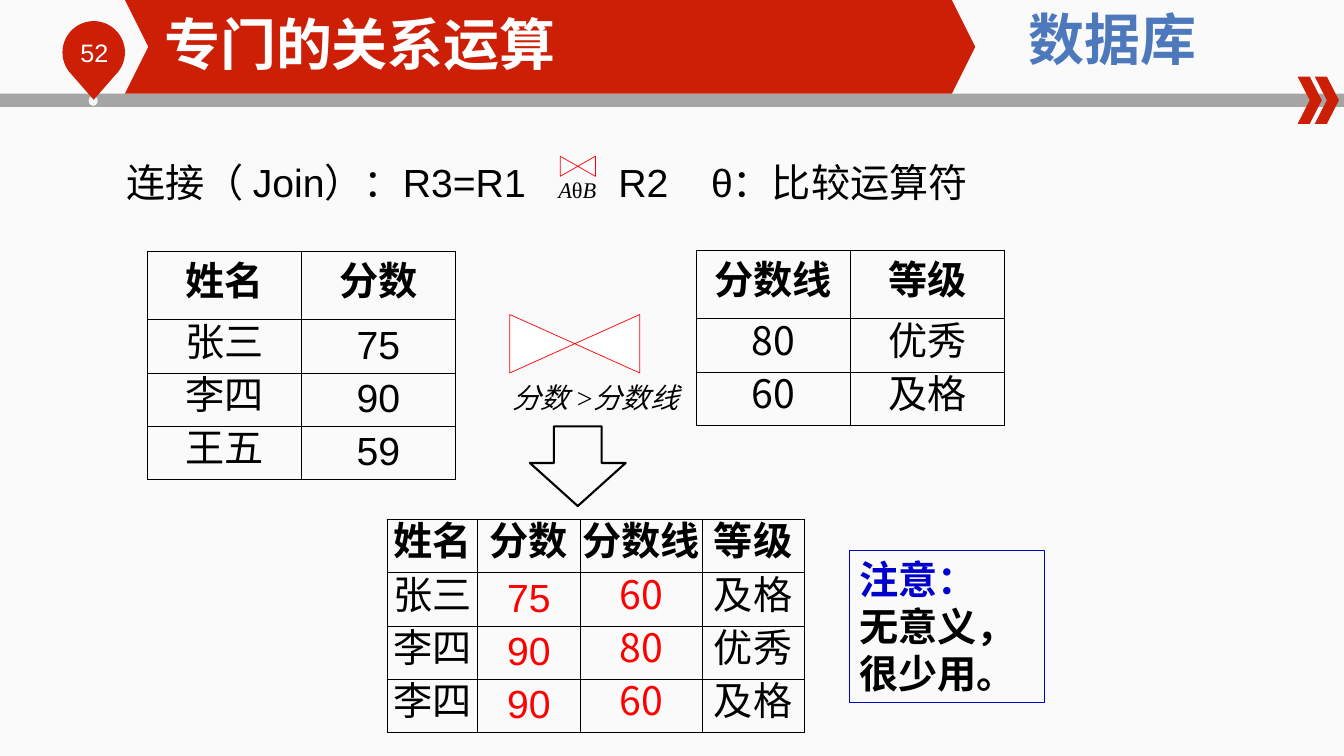
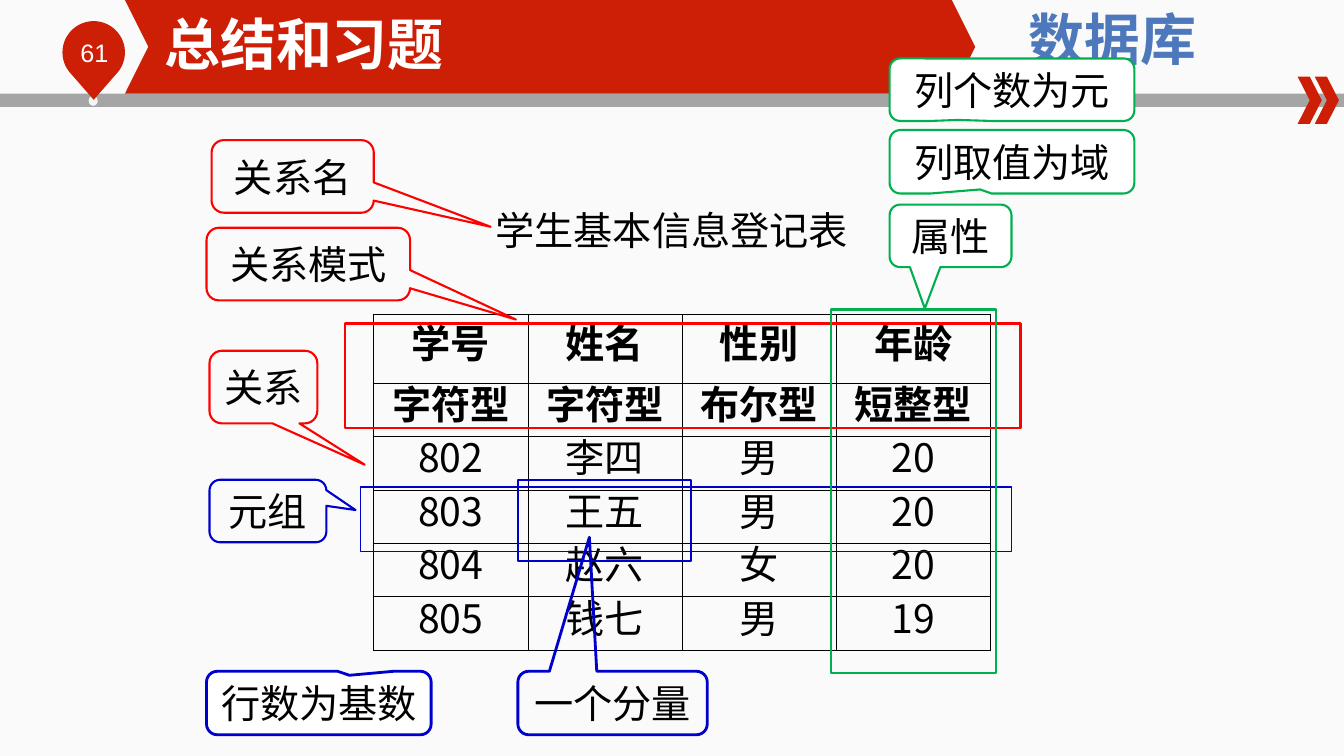
"""Build two lecture slides on relational joins and relational terms."""
from dataclasses import dataclass
from math import cos, radians, sin

from lxml.etree import SubElement
from pptx import Presentation
from pptx.dml.color import RGBColor
from pptx.enum.shapes import MSO_SHAPE as Preset
from pptx.enum.text import MSO_ANCHOR as Anchor, MSO_AUTO_SIZE as AutoSize, PP_ALIGN as Align
from pptx.oxml.ns import qn
from pptx.util import Inches, Pt


@dataclass(frozen=True)
class Theme:
    """Colours, fonts and type sizes."""
    brand: str = "CD1F06"
    band: str = "A5A5A5"
    dot: str = "F6F6F6"
    course: str = "4D79BC"
    black: str = "000000"
    white: str = "FFFFFF"
    red: str = "FF0000"
    blue: str = "0000CC"
    green: str = "00B050"
    background: tuple = ("FAFAFA", "FCFCFC")
    sans: str = "Arial"
    cjk: str = "Noto Sans CJK SC"
    serif: str = "Times New Roman"
    note: str = "Karla"
    title: int = 40
    body: int = 28
    condition: int = 20
    number: int = 18
    subscript: int = 16
    text_line: int = 37
    cell_line: int = 33


THEME = Theme()
SANS, CJK = THEME.sans, THEME.cjk
RED, BLUE, GREEN = THEME.red, THEME.blue, THEME.green

JOIN_TABLES = [
    dict(at=(1.46, 2.49), columns=[1.53] * 2, header=0.68, fonts=[SANS] * 2,
         rows=[["姓名", "分数"], ["张三", "75"], ["李四", "90"], ["王五", "59"]]),
    dict(at=(6.91, 2.48), columns=[1.53] * 2, header=0.68, fonts=[CJK, SANS],
         rows=[["分数线", "等级"], ["80", "优秀"], ["60", "及格"]]),
    dict(at=(3.84, 5.15), columns=[0.9, 1.02, 1.21, 1.01], header=0.53,
         fonts=[SANS, SANS, CJK, SANS], red_columns=(1, 2),
         rows=[["姓名", "分数", "分数线", "等级"], ["张三", "75", "60", "及格"],
               ["李四", "90", "80", "优秀"], ["李四", "90", "60", "及格"]]),
]
BOWTIES = [(5.56, 1.55, 0.35, 0.2), (5.06, 3.12, 1.29, 0.58)]
NOTE = [("注意：", BLUE), ("无意义，", THEME.black), ("很少用。", THEME.black)]

STUDENT_TABLE = dict(
    at=(3.71, 3.12), columns=[1.53] * 4, header=0.68, header_rows=2, header_font=CJK,
    fonts=[CJK, SANS, SANS, CJK],
    rows=[["学号", "姓名", "性别", "年龄"], ["字符型", "字符型", "布尔型", "短整型"],
          ["802", "李四", "男", "20"], ["803", "王五", "男", "20"],
          ["804", "赵六", "女", "20"], ["805", "钱七", "男", "19"]])
CALLOUTS = [
    ("关系名", (2.1, 1.39, 1.61, 0.72), (4.87, 2.25), RED, 1.5, None),
    ("关系模式", (2.05, 2.26, 2.02, 0.72), (5.12, 3.17), RED, 1.5, None),
    ("关系", (2.08, 3.48, 1.07, 0.72), (3.62, 4.61), RED, 1.5, None),
    ("属性", (8.83, 2.03, 1.21, 0.62), (9.18, 3.06), GREEN, 1.5, THEME.white),
    ("列个数为元", (8.83, 0.58, 2.43, 0.62), (9.51, 1.19), GREEN, 1.5, THEME.white),
    ("列取值为域", (8.83, 1.29, 2.43, 0.63), (9.73, 1.88), GREEN, 1.5, THEME.white),
    ("元组", (2.08, 4.76, 1.16, 0.62), (3.53, 5.06), BLUE, 1.5, None),
    ("一个分量", (5.14, 6.66, 1.88, 0.63), (5.85, 5.33), BLUE, 2, None),
    ("行数为基数", (2.05, 6.66, 2.23, 0.63), (3.47, 6.7), BLUE, 2, THEME.white),
]
FRAMES = [
    ((3.42, 3.21, 6.71, 1.04), RED, 1.5),
    ((3.58, 4.83, 6.46, 0.64), BLUE, 1),
    ((5.14, 4.76, 1.72, 0.81), BLUE, 1.5),
    ((8.25, 3.07, 1.64, 3.61), GREEN, 1.5),
]


def rgb(colour):
    return RGBColor.from_string(colour)


def style_font(font, properties, size, colour, name, bold=False, italic=False):
    font.size, font.bold, font.italic, font.name = Pt(size), bold, italic, name
    font.color.rgb = rgb(colour)
    SubElement(properties, qn("a:ea")).set("typeface", CJK)


def style_paragraph(paragraph, size=THEME.body, colour=THEME.black, name=SANS,
                    align=Align.LEFT, **style):
    paragraph.alignment = align
    font = paragraph.font
    properties = paragraph._p.get_or_add_pPr().get_or_add_defRPr()
    style_font(font, properties, size, colour, name, **style)


def set_frame(frame, anchor=Anchor.TOP, margins=(0.1, 0.05), wrap=True):
    frame.auto_size, frame.word_wrap, frame.vertical_anchor = AutoSize.NONE, wrap, anchor
    frame.margin_left = frame.margin_right = Inches(margins[0])
    frame.margin_top = frame.margin_bottom = Inches(margins[1])


def add_text(slide, box, text, anchor=Anchor.TOP, wrap=True, **style):
    frame = slide.shapes.add_textbox(*map(Inches, box)).text_frame
    set_frame(frame, anchor, wrap=wrap)
    paragraph = frame.paragraphs[0]
    paragraph.text = text
    style_paragraph(paragraph, **style)
    return paragraph


def paint(shape, fill=None, line=None, width=1):
    shape.shadow.inherit = False
    if fill:
        shape.fill.solid()
        shape.fill.fore_color.rgb = rgb(fill)
    else:
        shape.fill.background()
    if line:
        shape.line.color.rgb = rgb(line)
        shape.line.width = Pt(width)
    else:
        shape.line.fill.background()


def add_shape(slide, preset, box, adjustments=(), **look):
    shape = slide.shapes.add_shape(preset, *map(Inches, box))
    for index, value in enumerate(adjustments):
        shape.adjustments[index] = value
    paint(shape, **look)
    return shape


def add_pin(slide, centre_x=0.93, centre_y=0.52, radius=0.31, tip_y=0.99):
    points = [(centre_x + radius * cos(radians(angle)), centre_y + radius * sin(radians(angle)))
              for angle in range(135, 406, 5)]
    tip, *arc = [(Inches(x), Inches(y)) for x, y in [(centre_x, tip_y)] + points]
    builder = slide.shapes.build_freeform(*tip)
    builder.add_line_segments(arc, close=True)
    paint(builder.convert_to_shape(), fill=THEME.brand)


def add_slide(presentation, title_text, number):
    slide = presentation.slides.add_slide(presentation.slide_layouts[5])
    add_shape(slide, Preset.RECTANGLE, (0, 0.93, 13.34, 0.13), fill=THEME.band)
    add_shape(slide, Preset.OVAL, (0.88, 0.95, 0.09, 0.1), fill=THEME.dot)
    add_pin(slide)
    add_text(slide, (0.7, 0.32, 0.76, 0.4), number, size=THEME.number, colour=THEME.white)
    for left in (12.88, 13.05):
        add_shape(slide, Preset.CHEVRON, (left, 0.76, 0.24, 0.47), [0.5], fill=THEME.brand)
    add_shape(slide, Preset.CHEVRON, (1.24, 0, 8.44, 0.93), [0.25], fill=THEME.brand)
    add_text(slide, (9.68, 0, 2.72, 0.77), "数据库", size=THEME.title,
             colour=THEME.course, name=CJK, bold=True, align=Align.CENTER)

    title = slide.shapes.title
    title.left, title.top, title.width, title.height = map(Inches, (1.63, 0.09, 6.61, 0.67))
    title.text_frame.text = title_text
    set_frame(title.text_frame, Anchor.MIDDLE, (0, 0))
    style_paragraph(title.text_frame.paragraphs[0], THEME.title, THEME.white, bold=True)
    slide.shapes._spTree.append(title._element)
    return slide


def add_borders(cell):
    properties = cell._tc.get_or_add_tcPr()
    for side in ("L", "R", "T", "B"):
        line = SubElement(properties, qn(f"a:ln{side}"), w=str(Pt(0.5)))
        fill = SubElement(line, qn("a:solidFill"))
        SubElement(fill, qn("a:srgbClr"), val=THEME.black)


def add_table(slide, at, columns, header, fonts, rows, header_rows=1,
              header_font=SANS, red_columns=()):
    heights = [header] + [0.53] * (len(rows) - 1)
    box = (*at, sum(columns), sum(heights))
    table = slide.shapes.add_table(len(rows), len(columns), *map(Inches, box)).table
    table.first_row = table.horz_banding = False
    for column, width in zip(table.columns, columns):
        column.width = Inches(width)
    for row_index, (texts, height) in enumerate(zip(rows, heights)):
        table.rows[row_index].height = Inches(height)
        heading = row_index < header_rows
        for column_index, text in enumerate(texts):
            cell = table.cell(row_index, column_index)
            cell.text = text
            cell.vertical_anchor = Anchor.MIDDLE
            cell.margin_left = cell.margin_right = cell.margin_top = Inches(0.01)
            cell.margin_bottom = Inches(0.05)
            red = column_index in red_columns and not heading
            paragraph = cell.text_frame.paragraphs[0]
            paragraph.line_spacing = Pt(THEME.cell_line)
            style_paragraph(paragraph, align=Align.CENTER, bold=heading,
                            colour=RED if red else THEME.black,
                            name=header_font if heading else fonts[column_index])
            add_borders(cell)
            cell.fill.background()


def add_bowtie(slide, box):
    left, top, width, height = box
    shift = (width - height) / 2
    shape = add_shape(slide, Preset.FLOWCHART_COLLATE, (left + shift, top - shift, height, width),
                      fill=THEME.white, line=RED, width=0.5)
    shape.rotation = 90


def add_callout(slide, text, box, tip, colour, width, fill):
    offsets = [(point - start) / size - 0.5 for point, start, size in zip(tip, box, box[2:])]
    shape = add_shape(slide, Preset.ROUNDED_RECTANGULAR_CALLOUT, box, offsets + [0.17],
                      fill=fill, line=colour, width=width)
    frame = shape.text_frame
    frame.text = text
    set_frame(frame, Anchor.MIDDLE, (0, 0))
    style_paragraph(frame.paragraphs[0], name=CJK, align=Align.CENTER)


def build_join_slide(presentation):
    slide = add_slide(presentation, "专门的关系运算", "52")
    formula = add_text(slide, (1.16, 1.47, 8.9, 0.62), "")
    formula.text = "连接（ Join）：R3=R1\tR2"
    formula.line_spacing = Pt(THEME.text_line)
    properties = formula._p.get_or_add_pPr()
    tabs = properties.makeelement(qn("a:tabLst"))
    SubElement(tabs, qn("a:tab"), pos=str(Inches(4.88)), algn="l")
    properties.find(qn("a:defRPr")).addprevious(tabs)

    subscript = add_text(slide, (5.32, 1.75, 0.82, 0.27), "", Anchor.MIDDLE, False,
                         size=THEME.subscript, name=THEME.serif, align=Align.CENTER)
    for letter in "AθB":
        run = subscript.add_run()
        run.text = letter
        run.font.italic = letter != "θ"
    add_text(slide, (6.96, 1.52, 2.77, 0.57), "θ：比较运算符")
    for box in BOWTIES:
        add_bowtie(slide, box)
    add_text(slide, (4.74, 3.53, 2.34, 0.82), "分数 >分数线", Anchor.MIDDLE, False,
             size=THEME.condition, name=THEME.serif, italic=True, align=Align.CENTER)
    add_shape(slide, Preset.DOWN_ARROW, (5.26, 4.23, 0.95, 0.79), [0.5, 0.54],
              line=THEME.black, width=1.5)
    for table in JOIN_TABLES:
        add_table(slide, **table)

    note = add_shape(slide, Preset.RECTANGLE, (8.43, 5.46, 1.94, 1.51), line=BLUE, width=0.75)
    frame = note.text_frame
    frame.text = "\n".join(text for text, _ in NOTE)
    set_frame(frame)
    for paragraph, (_, colour) in zip(frame.paragraphs, NOTE):
        style_paragraph(paragraph, colour=colour, name=THEME.note, bold=True)


def build_summary_slide(presentation):
    slide = add_slide(presentation, "总结和习题", "61")
    add_table(slide, **STUDENT_TABLE)
    caption = add_text(slide, (4.82, 1.95, 3.91, 0.62), "学生基本信息登记表", name=CJK)
    caption.line_spacing = Pt(THEME.text_line)
    for callout in CALLOUTS:
        add_callout(slide, *callout)
    for box, colour, width in FRAMES:
        add_shape(slide, Preset.RECTANGLE, box, line=colour, width=width)


def main():
    presentation = Presentation()
    presentation.slide_width, presentation.slide_height = Inches(13.34), Inches(7.5)
    background = presentation.slide_layouts[5].background.fill
    background.gradient()
    background.gradient_angle = 270
    for stop, colour in zip(background.gradient_stops, THEME.background):
        stop.color.rgb = rgb(colour)
    build_join_slide(presentation)
    build_summary_slide(presentation)
    presentation.save("out.pptx")


if __name__ == "__main__":
    main()
